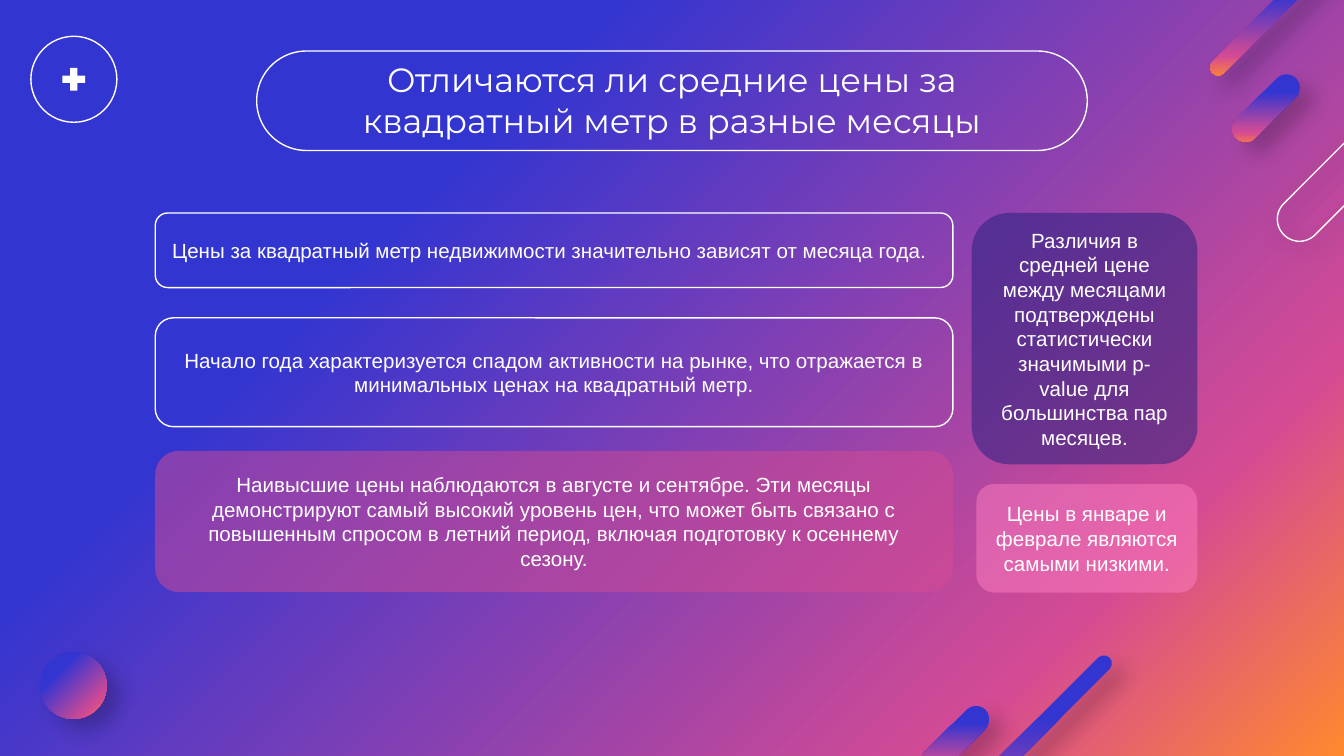
from dataclasses import dataclass

from lxml import etree
from pptx import Presentation
from pptx import util as u
from pptx.dml.color import RGBColor
from pptx.enum import shapes, text
from pptx.oxml.ns import qn

PX = 4572  # 200 px to the inch
KIND = shapes.MSO_SHAPE


@dataclass(frozen=True)
class Theme:
    white: str = "FFFFFF"
    shade: str = "000000"
    navy: str = "1D1E7C"
    rose: str = "D54B93"
    pink: str = "FD7EC0"
    blend: tuple = ((0, "3335D1"), (29, "3335D1"), (81, "D54B93"), (100, "FF882F"))
    head: tuple = ("Montserrat", 18)
    body: tuple = ("Arial", 11)
    line: float = 0.75


class Deck:
    def __init__(self, theme, wide, high):
        self.theme = theme
        self.file = Presentation()
        self.file.slide_width, self.file.slide_height = wide * PX, high * PX
        self.slide = self.file.slides.add_slide(self.file.slide_layouts[6])

    def blend(self, fill, root):
        """Give fill the theme's diagonal gradient; root is the XML that holds it."""
        fill.gradient()
        fill.gradient_angle = 315
        stops = next(root.iter(qn("a:gsLst")))
        for old in list(stops):
            stops.remove(old)
        for spot, tone in self.theme.blend:
            stop = etree.SubElement(stops, qn("a:gs"), pos=str(spot * 1000))
            etree.SubElement(stop, qn("a:srgbClr"), val=tone)

    def back(self):
        self.blend(self.slide.background.fill, self.slide.element)

    def shape(self, kind, box, fill=None, alpha=100, edge=False, adj=None, turn=0):
        item = self.slide.shapes.add_shape(kind, *(n * PX for n in box))
        item.shadow.inherit = False
        item.rotation = turn
        if adj is not None:
            item.adjustments[0] = adj
        if fill == self.theme.blend:
            self.blend(item.fill, item.element)
        elif fill:
            item.fill.solid()
            item.fill.fore_color.rgb = RGBColor.from_string(fill)
            if alpha < 100:
                tone = next(item.element.spPr.iter(qn("a:srgbClr")))
                etree.SubElement(tone, qn("a:alpha"), val=str(alpha * 1000))
        else:
            item.fill.background()
        if edge:
            item.line.color.rgb = RGBColor.from_string(self.theme.white)
            item.line.width = u.Pt(self.theme.line)
        else:
            item.line.fill.background()
        return item

    def shade(self, item, alpha=22, dist=9):
        """Cast a soft shadow to the lower right."""
        glow = etree.SubElement(
            item.element.spPr.find(qn("a:effectLst")), qn("a:outerShdw"),
            blurRad=str(u.Pt(11.2)), dist=str(u.Pt(dist)), dir=str(40 * 60000),
            algn="bl", rotWithShape="0")
        tone = etree.SubElement(glow, qn("a:srgbClr"), val=self.theme.shade)
        etree.SubElement(tone, qn("a:alpha"), val=str(alpha * 1000))

    def pill(self, *box):
        self.shade(self.shape(KIND.ROUNDED_RECTANGLE, box, self.theme.blend,
                              adj=0.5, turn=45))

    def label(self, item, words, style, align, after=0):
        frame = item.text_frame
        frame.word_wrap = True
        frame.vertical_anchor = text.MSO_ANCHOR.MIDDLE
        frame.margin_left = frame.margin_right = 20 * PX
        frame.margin_top = frame.margin_bottom = 20 * PX
        para = frame.paragraphs[0]
        para.text = words
        para.alignment = align
        para.space_after = u.Pt(after)
        para.font.name, size = style
        para.font.size = u.Pt(size)
        para.font.color.rgb = RGBColor.from_string(self.theme.white)

    def title(self, box, words):
        item = self.slide.shapes.add_textbox(*(n * PX for n in box))
        self.label(item, words, self.theme.head, text.PP_ALIGN.CENTER)

    def card(self, box, words, fill=None, align=text.PP_ALIGN.CENTER):
        """Rounded box with text: half-clear when filled, outlined otherwise."""
        item = self.shape(KIND.ROUNDED_RECTANGLE, box, fill, 50, edge=not fill)
        self.label(item, words, self.theme.body, align, after=3)


def main():
    look = Theme()
    deck = Deck(look, 2000, 1125)
    deck.back()

    ring = deck.shape(KIND.ROUNDED_RECTANGLE, (1980, 102, 66, 290),
                      edge=True, adj=0.5, turn=45)
    deck.shade(ring, alpha=40, dist=4)
    for box in ((1864, 98, 40, 126), (1872, -84, 24, 226),
                (1402, 1038, 40, 126), (1478, 912, 24, 456)):
        deck.pill(*box)
    deck.shade(deck.shape(KIND.OVAL, (59, 970, 100, 100), look.blend))
    deck.shape(KIND.OVAL, (46, 54, 128, 128), edge=True)
    deck.shape(KIND.MATH_PLUS, (87, 95, 46, 46), look.white, adj=0.235)

    deck.shape(KIND.ROUNDED_RECTANGLE, (382, 76, 1236, 148), edge=True, adj=0.5)
    deck.title((394, 76, 1212, 144),
               "Отличаются ли средние цены за квадратный метр в разные месяцы")

    left, wide = 231, 1187
    deck.card((left, 317, wide, 111),
              "Цены за квадратный метр недвижимости значительно зависят от месяца года.",
              align=text.PP_ALIGN.LEFT)
    deck.card((1446, 317, 336, 374),
              "Различия в средней цене между месяцами подтверждены статистически "
              "значимыми p-value для большинства пар месяцев.", look.navy)
    deck.card((left, 473, wide, 162),
              "Начало года характеризуется спадом активности на рынке, что отражается "
              "в минимальных ценах на квадратный метр.")
    deck.card((left, 671, wide, 210),
              "Наивысшие цены наблюдаются в августе и сентябре. Эти месяцы "
              "демонстрируют самый высокий уровень цен, что может быть связано с "
              "повышенным спросом в летний период, включая подготовку к осеннему "
              "сезону.", look.rose)
    deck.card((1453, 720, 329, 162),
              "Цены в январе и феврале являются самыми низкими.", look.pink)

    deck.file.save("out.pptx")


if __name__ == "__main__":
    main()
